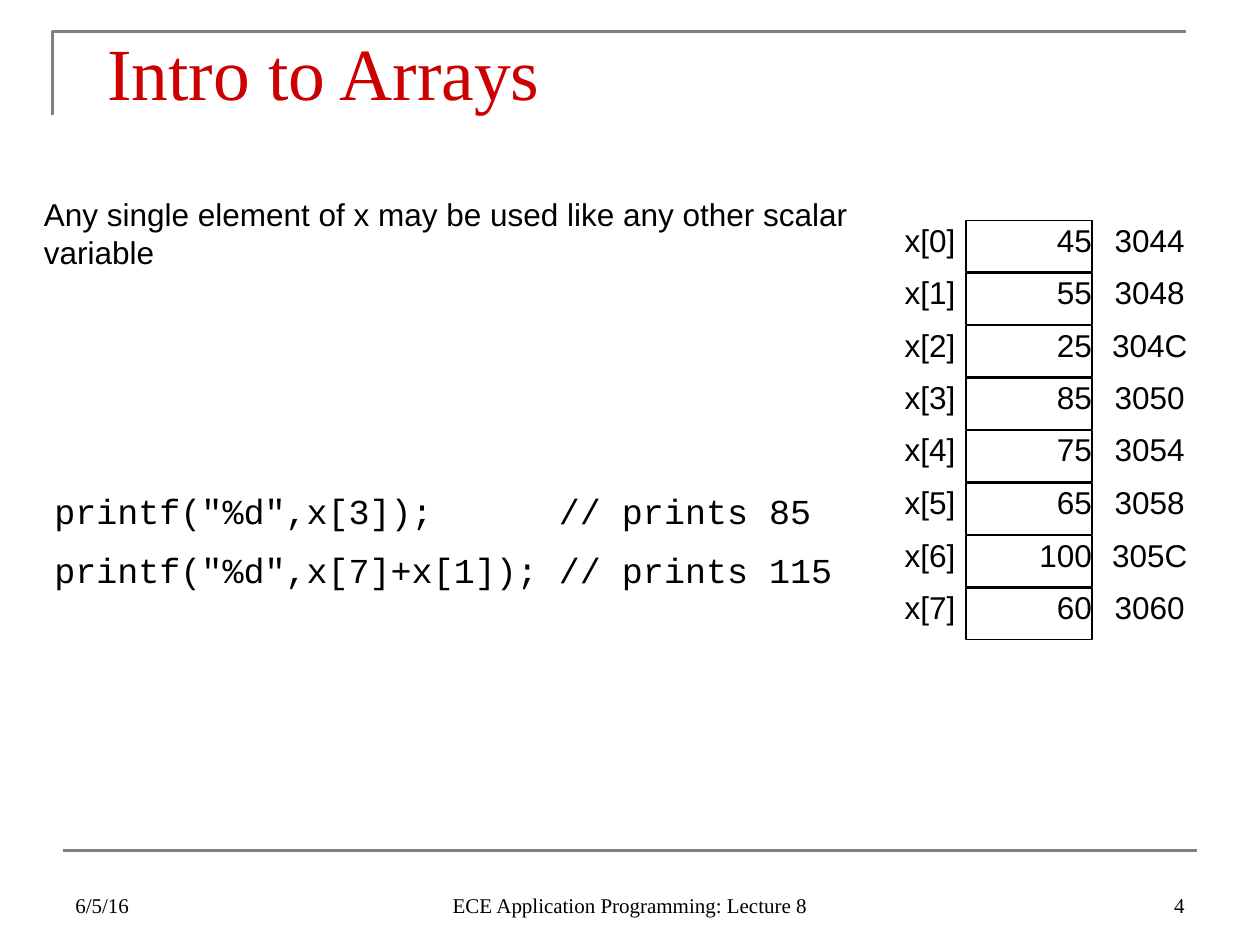
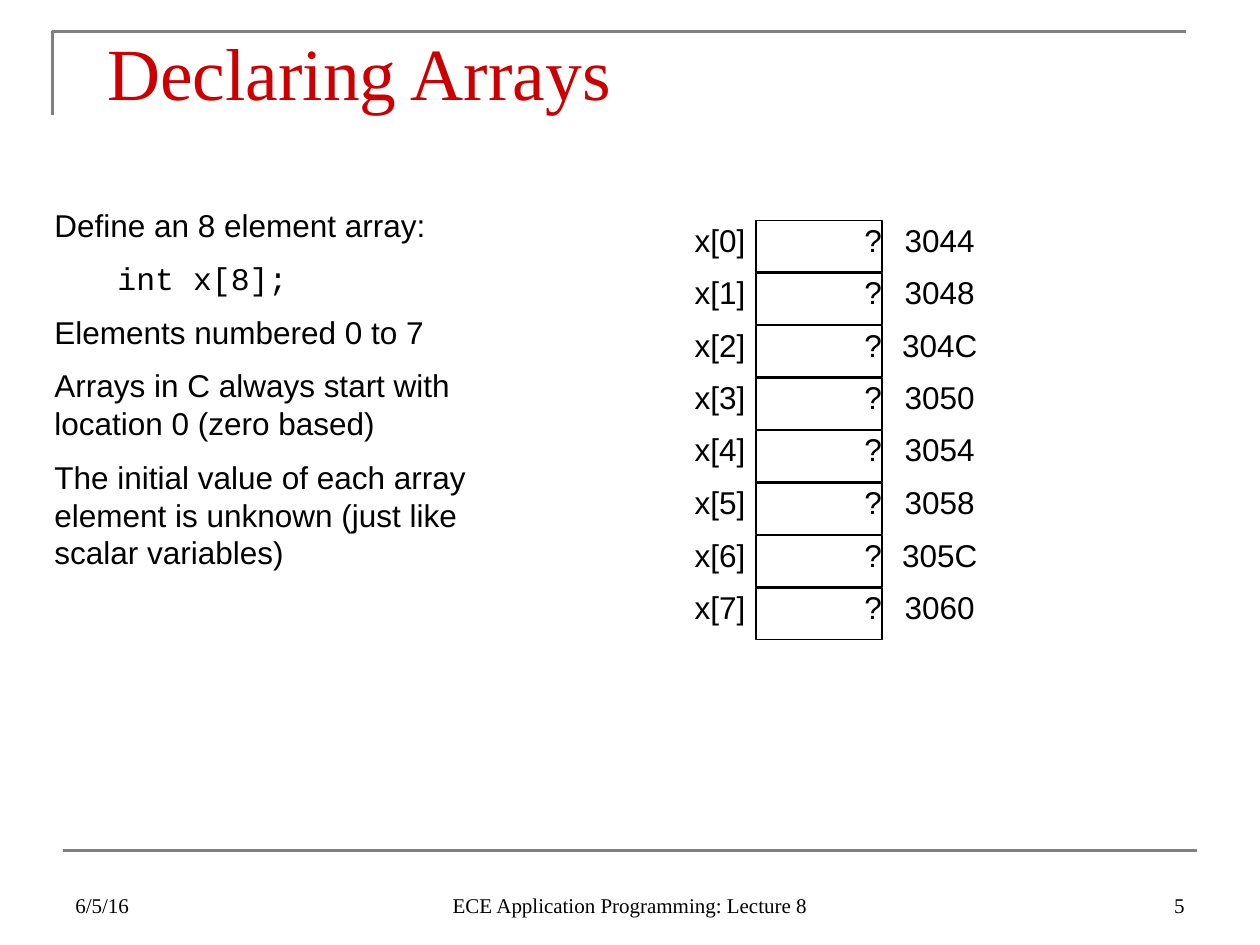
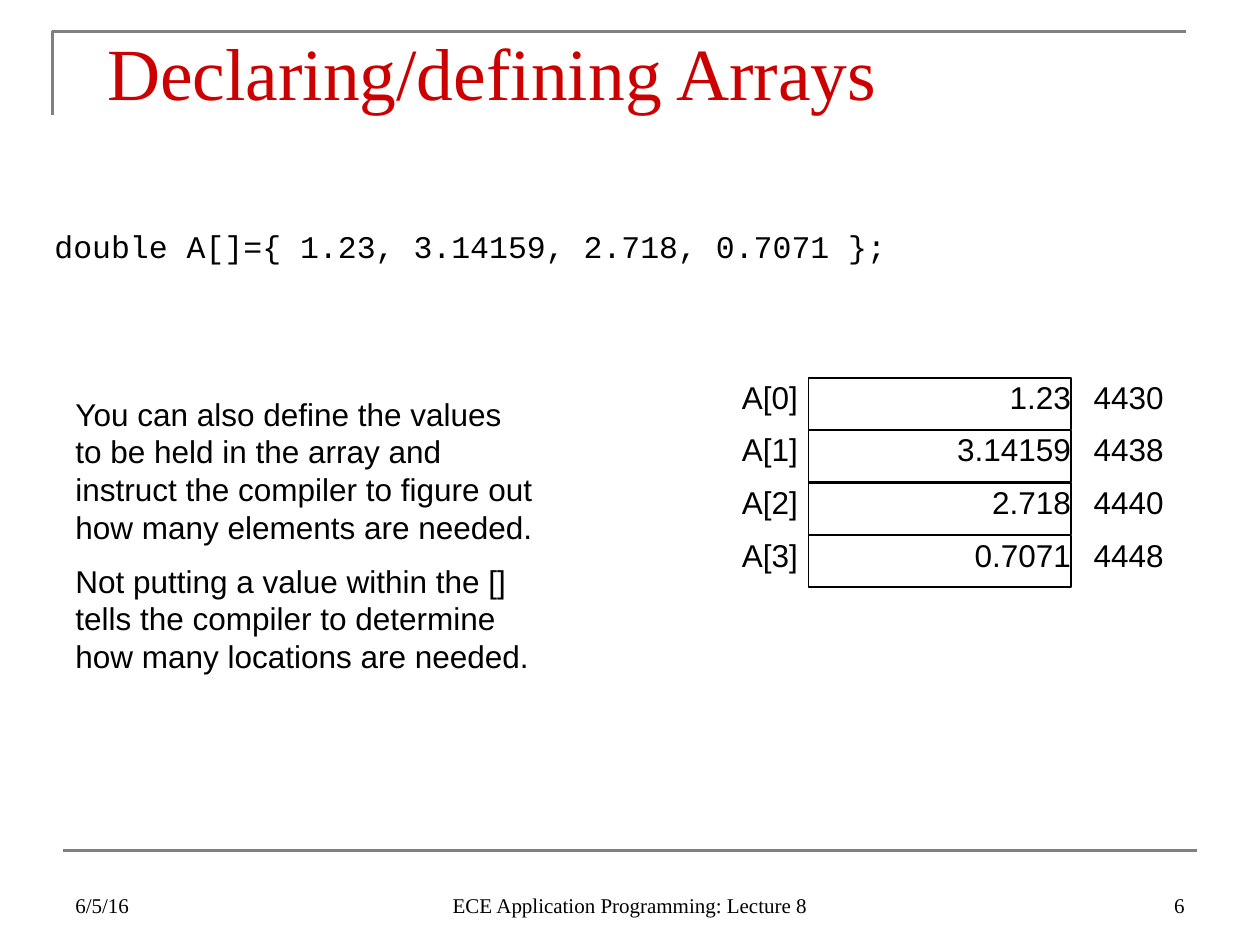
from pptx import Presentation
from pptx.dml.color import RGBColor
from pptx.enum import shapes, text
from pptx.oxml import xmlchemy
from pptx.util import Pt

COLORS = {"title": "CC0000", "text": "000000", "rule": "808080"}
SANS, SERIF, MONO = "Arial", "Times New Roman", "Courier New"
LEFT, CENTER, RIGHT = (text.PP_ALIGN.LEFT, text.PP_ALIGN.CENTER,
                       text.PP_ALIGN.RIGHT)
TOP, BOTTOM = text.MSO_ANCHOR.TOP, text.MSO_ANCHOR.BOTTOM

DATE = "6/5/16"
FOOTER = "ECE Application Programming: Lecture 8"
ROW_PITCH, ROW_HEIGHT = 30, 29.5
LABEL_WIDTH, LABEL_STEP = 66, 72
X_ADDRESSES = ["3044", "3048", "304C", "3050", "3054", "3058", "305C", "3060"]


class Deck:
    """Holds the shared style and the slide being drawn."""

    def __init__(self):
        self.prs = Presentation()
        self.prs.slide_width, self.prs.slide_height = Pt(720), Pt(540)
        self.s = None

    def new_slide(self, title, number):
        self.s = self.prs.slides.add_slide(self.prs.slide_layouts[5])
        self.frame()
        # Title
        sp = self.s.shapes.title
        sp.left, sp.top, sp.width, sp.height = Pt(54), Pt(12), Pt(612), Pt(42)
        self.fill_text(sp.text_frame, [title], 42, SERIF, color="title")
        # Footer
        for left, width, words, align in ((36, 168, DATE, LEFT),
                                          (246, 228, FOOTER, CENTER),
                                          (516, 168, str(number), RIGHT)):
            self.label(left, 492, width, 36, [words], 12, SERIF, align,
                       anchor=BOTTOM)

    def frame(self):
        """Corner rule at the top and straight rule above the footer."""
        fb = self.s.shapes.build_freeform(Pt(30), Pt(66))
        fb.add_line_segments([(Pt(30), Pt(18)), (Pt(678), Pt(18))], close=False)
        corner = fb.convert_to_shape()
        corner.shadow.inherit = False
        corner.fill.background()
        self.outline(corner, "rule", 1.5)
        rule = self.s.shapes.add_connector(shapes.MSO_CONNECTOR.STRAIGHT,
                                           Pt(36), Pt(486), Pt(684), Pt(486))
        self.outline(rule, "rule", 1.5)
        rule._element.spPr.append(xmlchemy.OxmlElement("a:effectLst"))

    def outline(self, sp, color, width):
        sp.line.color.rgb = RGBColor.from_string(COLORS[color])
        sp.line.width = Pt(width)

    def fill_text(self, tf, paragraphs, size, font, align=LEFT, color="text",
                  anchor=TOP, inset=None):
        """Fill a frame; a paragraph is its text, or a (text, font) pair."""
        tf.word_wrap = True
        tf.auto_size = text.MSO_AUTO_SIZE.NONE
        tf.vertical_anchor = anchor
        if inset is not None:
            tf.margin_left = tf.margin_right = Pt(inset)
            tf.margin_top = tf.margin_bottom = Pt(inset)
        for i, item in enumerate(paragraphs):
            words, face = (item, font) if isinstance(item, str) else item
            p = tf.add_paragraph() if i else tf.paragraphs[0]
            p.text = words
            p.alignment = align
            p.space_before = Pt(size / 2 if i else 0)
            p.font.size, p.font.name = Pt(size), face
            p.font.color.rgb = RGBColor.from_string(COLORS[color])

    def label(self, left, top, width, height, paragraphs, size=18, font=SANS,
              align=LEFT, **style):
        sp = self.s.shapes.add_textbox(Pt(left), Pt(top), Pt(width), Pt(height))
        self.fill_text(sp.text_frame, paragraphs, size, font, align, **style)

    def cell(self, left, top, width, value):
        sp = self.s.shapes.add_shape(shapes.MSO_SHAPE.RECTANGLE, Pt(left),
                                     Pt(top), Pt(width), Pt(ROW_HEIGHT))
        sp.shadow.inherit = False
        sp.fill.background()
        self.outline(sp, "text", 0.75)
        self.fill_text(sp.text_frame, [value], 18, SANS, RIGHT, inset=0)

    def memory(self, left, top, cell_width, name, values, addresses):
        """Array drawn as memory: element name, value cell, address."""
        cell_left = left + LABEL_STEP
        for i, (value, address) in enumerate(zip(values, addresses)):
            y = top + i * ROW_PITCH
            self.label(left, y, LABEL_WIDTH, ROW_HEIGHT, [f"{name}[{i}]"],
                       align=RIGHT, inset=0)
            self.cell(cell_left, y, cell_width, value)
            self.label(cell_left + cell_width, y, LABEL_WIDTH, ROW_HEIGHT,
                       [address], align=CENTER, inset=0)


def main():
    deck = Deck()

    # Using array elements
    deck.new_slide("Intro to Arrays", 4)
    deck.memory(480, 126, 72, "x",
                ["45", "55", "25", "85", "75", "65", "100", "60"], X_ADDRESSES)
    deck.label(24, 276, 468, 103,
               ['printf("%d",x[3]);      // prints 85',
                'printf("%d",x[7]+x[1]); // prints 115'], 20, MONO)
    deck.label(18, 108, 474, 65,
               ["Any single element of x may be used like any other scalar "
                "variable"])

    # Declaring without values
    deck.new_slide("Declaring Arrays", 5)
    deck.memory(360, 126, 72, "x", "?" * 8, X_ADDRESSES)
    deck.label(24, 114, 276, 225,
               ["Define an 8 element array:",
                ("\tint x[8];", MONO),
                "Elements numbered 0 to 7",
                "Arrays in C always start with location 0 (zero based)",
                "The initial value of each array element is unknown "
                "(just like scalar variables)"])

    # Declaring with values
    deck.new_slide("Declaring/defining Arrays", 6)
    deck.memory(390, 216, 150, "A", ["1.23", "3.14159", "2.718", "0.7071"],
                ["4430", "4438", "4440", "4448"])
    deck.label(36, 222, 276, 280,
               ["You can also define the values to be held in the array and "
                "instruct the compiler to figure out how many elements are "
                "needed.",
                "Not putting a value within the [] tells the compiler to "
                "determine how many locations are needed."])
    deck.label(24, 126, 654, 36,
               ["double A[]={ 1.23, 3.14159, 2.718, 0.7071 };"], font=MONO)

    deck.prs.save("out.pptx")


if __name__ == "__main__":
    main()
